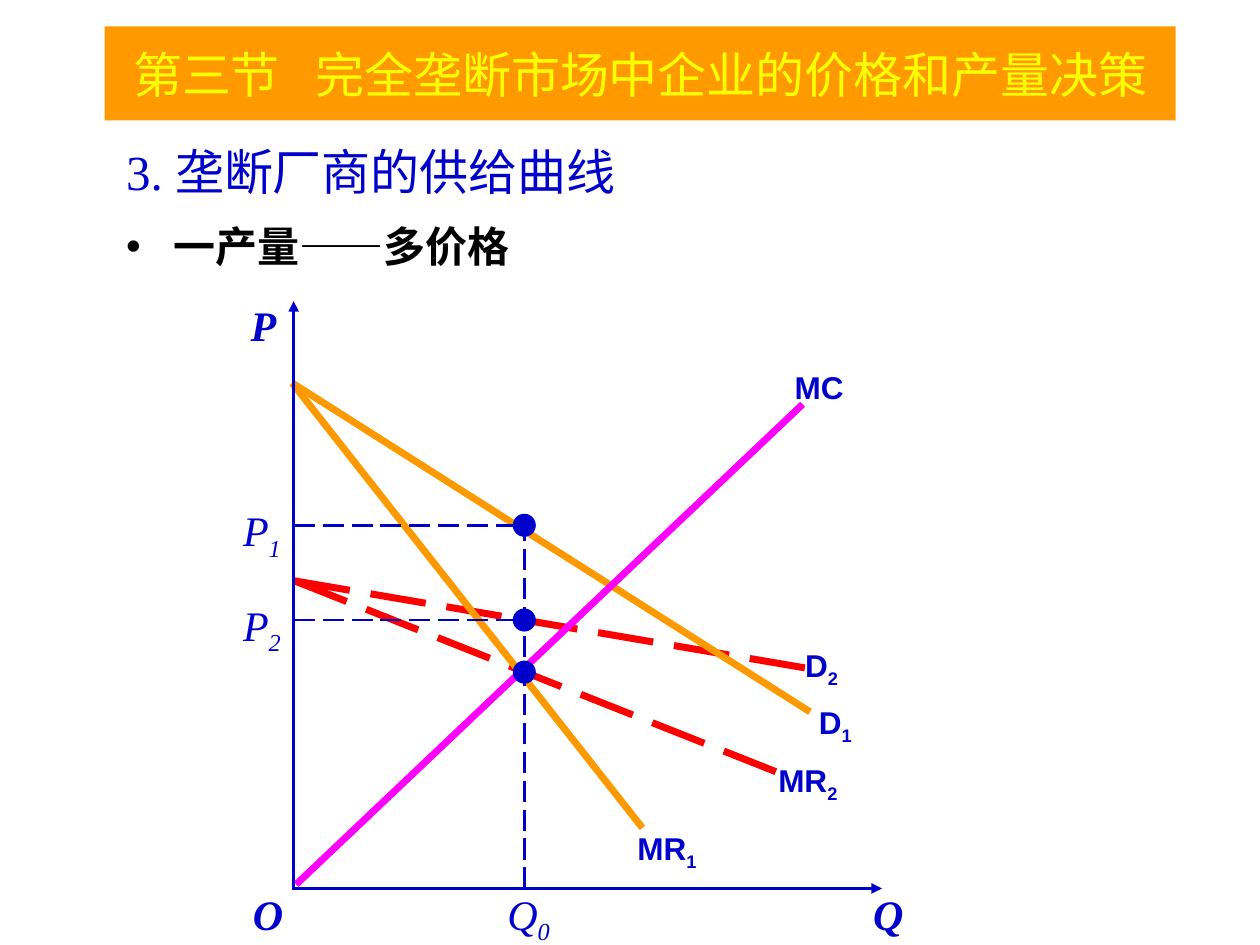
from lxml.etree import SubElement
from pptx import Presentation
from pptx.dml.color import RGBColor
from pptx.enum.dml import MSO_LINE as Dash
from pptx.enum.shapes import MSO_CONNECTOR as Link, MSO_SHAPE as Shape
from pptx.enum.text import MSO_ANCHOR as Anchor, MSO_AUTO_SIZE as Fit, PP_ALIGN as Align
from pptx.oxml.ns import qn
from pptx.util import Cm, Pt

COLORS = {"banner": "FF9900", "title": "FFFF00", "ink": "0000CC", "text": "000000",
          "first": "FF9900", "second": "FF0000", "cost": "FF00FF"}
SERIF, SANS = "Times New Roman", "Arial"


def color(name):
    """Return the named colour."""
    return RGBColor.from_string(COLORS[name])


def style(font, size, name, hue, bold=False, italic=False):
    """Set the look of a font."""
    font.size, font.name = Pt(size), name
    font.bold, font.italic = bold, italic
    font.color.rgb = color(hue)


def place(shape, box):
    """Move a shape to a box in centimetres."""
    shape.left, shape.top, shape.width, shape.height = map(Cm, box)


def banner(holder, box, parts):
    """Fill the title band, with a wide space between the two parts."""
    place(holder, box)
    holder.fill.solid()
    holder.fill.fore_color.rgb = color("banner")
    frame = holder.text_frame
    frame.auto_size, frame.vertical_anchor = Fit.NONE, Anchor.MIDDLE
    para = frame.paragraphs[0]
    para.alignment = Align.CENTER
    for text in (parts[0], " ", parts[1]):
        run = para.add_run()
        run.text = text
        if text == " ":
            run._r.get_or_add_rPr().set("spc", "1400")
    style(para.font, 28, SERIF, "title")


def body(holder, box, text, size, hue, bullet):
    """Fill a body placeholder with one line."""
    place(holder, box)
    frame = holder.text_frame
    frame.auto_size, frame.vertical_anchor = Fit.NONE, Anchor.TOP
    para = frame.paragraphs[0]
    para.text = text
    para.space_before = Pt(0)
    if not bullet:
        SubElement(para._p.get_or_add_pPr(), qn("a:buNone"))
    style(para.font, size, SERIF, hue, bold=bullet)


def line(shapes, start, end, hue, width, dash=False, arrow=False):
    """Draw a straight line between two points in centimetres."""
    link = shapes.add_connector(Link.STRAIGHT, *map(Cm, start + end))
    link.line.color.rgb = color(hue)
    link.line.width = Pt(width)
    if dash:
        link.line.dash_style = Dash.LONG_DASH
    if arrow:
        SubElement(link.line._get_or_add_ln(), qn("a:tailEnd"), type="triangle")
    SubElement(link._element.spPr, qn("a:effectLst"))


def label(shapes, spot, size, text, sub="", math=False, bold=True, align=Align.LEFT):
    """Write a label, with a subscript if given."""
    area = shapes.add_textbox(*map(Cm, spot + size))
    frame = area.text_frame
    frame.word_wrap, frame.auto_size = False, Fit.SHAPE_TO_FIT_TEXT
    para = frame.paragraphs[0]
    para.alignment = align
    para.add_run().text = text
    if sub:
        run = para.add_run()
        run.text = sub
        run._r.get_or_add_rPr().set("baseline", "-25000")
    style(para.font, 24 if math else 18, SERIF if math else SANS, "ink", bold, math)


def dot(shapes, x, y, size=0.43):
    """Draw a round mark centred on a point."""
    mark = shapes.add_shape(Shape.OVAL, *map(Cm, (x - size / 2, y - size / 2, size, size)))
    mark.shadow.inherit = False
    mark.fill.solid()
    mark.fill.fore_color.rgb = mark.line.color.rgb = color("ink")
    mark.line.width = Pt(1)


def graph(shapes, box):
    """Draw the curves, guides and axes in the box the axes span."""
    left, top, wide, high = box

    def at(x, y):
        return left + x, top + y

    high_cut, low_cut, zero = (-0.03, 1.65), (0.02, 5.64), (0.05, high - 0.08)
    curves = [
        (low_cut, (10.46, 7.42), "second", (10.06, 6.83), 1.17, "D", "2"),
        (low_cut, (9.83, 9.53), "second", (9.52, 9.14), 1.7, "MR", "2"),
        (high_cut, (10.41, 8.28), "first", (10.34, 7.98), 1.17, "D", "1"),
        (high_cut, (7.03, 10.62), "first", (6.68, 10.52), 1.7, "MR", "1"),
        (zero, (10.26, 2.08), "cost", (9.85, 1.22), 1.5, "MC", ""),
    ]
    for start, end, hue, spot, width, name, sub in curves:
        line(shapes, at(*start), at(*end), hue, 4, dash=hue == "second")
        label(shapes, at(*spot), (width, 1.12 if sub else 1.02), name, sub)

    output, prices, cross = 4.65, {"1": 4.52, "2": 6.43}, 7.48
    for sub, y in prices.items():
        line(shapes, at(0, y), at(output, y), "ink", 1.5, dash=True)
        label(shapes, at(-1.27, y - 0.54), (1.27, 1.4), "P", sub, math=True, bold=False)
    line(shapes, at(output, high), at(output, 4.67), "ink", 1.5, dash=True)
    for y in (*prices.values(), cross):
        dot(shapes, *at(output, y))

    line(shapes, at(0, high), at(0, 0), "ink", 2, arrow=True)
    line(shapes, at(-0.03, high), at(wide, high), "ink", 2, arrow=True)
    foot = high - 0.13
    label(shapes, at(4.06, foot), (1.37, 1.4), "Q", "0", math=True, bold=False)
    label(shapes, at(wide - 0.43, foot), (1.12, 1.27), "Q", math=True)
    label(shapes, at(-1.07, foot), (1.12, 1.27), "O", math=True)
    label(shapes, at(-1.12, -0.15), (1.02, 1.27), "P", math=True, align=Align.RIGHT)


def main():
    """Build and save the slide."""
    deck = Presentation()
    deck.slide_width, deck.slide_height = Cm(25.4), Cm(19.05)
    slide = deck.slides.add_slide(deck.slide_layouts[3])
    title, head, point = list(slide.placeholders)[:3]
    banner(title, (2.11, 0.53, 21.59, 1.9), ("第三节", "完全垄断市场中企业的价格和产量决策"))
    body(head, (2.29, 2.72, 21.59, 1.8), "3. 垄断厂商的供给曲线", 28, "ink", bullet=False)
    body(point, (2.29, 4.32, 20.75, 12.7), "一产量——多价格", 24, "text", bullet=True)
    graph(slide.shapes, (5.92, 6.07, 11.86, 11.84))
    deck.save("out.pptx")


if __name__ == "__main__":
    main()
